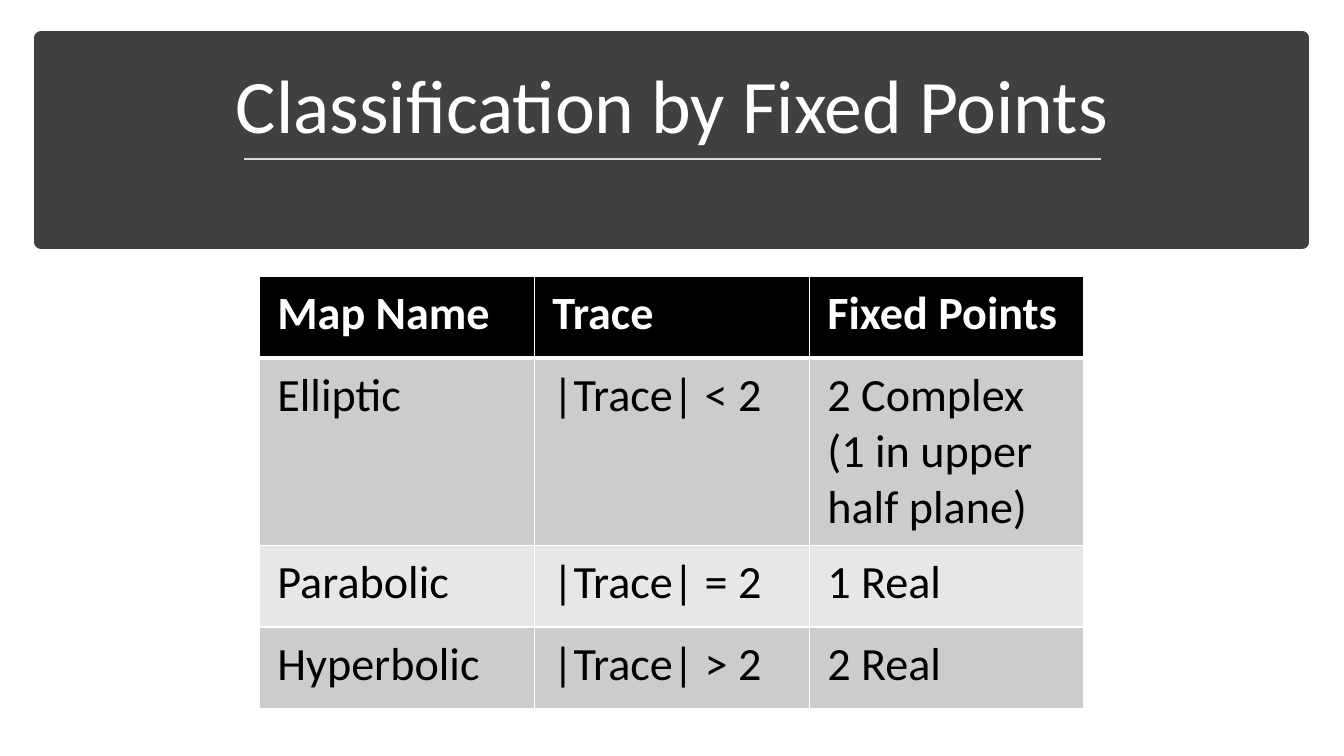
from lxml import etree
from pptx import Presentation
from pptx import util as u
from pptx.dml.color import RGBColor
from pptx.enum import shapes, text
from pptx.oxml import ns


def color(value):
    return RGBColor.from_string(value)


def write(tf, content, size, fill, bold=False, align=text.PP_ALIGN.LEFT, spacing=1.0):
    """Fill a text frame, one paragraph per line of content."""
    tf.word_wrap = True
    for i, line in enumerate(content.split("\n")):
        p = tf.paragraphs[0] if i == 0 else tf.add_paragraph()
        p.alignment, p.line_spacing = align, spacing
        r = p.add_run()
        r.text = line
        r.font.name, r.font.size, r.font.bold = "Calibri", u.Pt(size), bold
        r.font.color.rgb = color(fill)


prs = Presentation()
prs.slide_width, prs.slide_height = u.Cm(33.87), u.Cm(19.05)
s = prs.slides.add_slide(prs.slide_layouts[6])

# Title band
band = s.shapes.add_shape(shapes.MSO_SHAPE.RECTANGLE,
                          u.Cm(1.04), u.Cm(0.96), u.Cm(31.78), u.Cm(5.14))
band.shadow.inherit = False
band.fill.solid()
band.fill.fore_color.rgb = color("404040")
band.line.color.rgb = color("404040")
band.line.width = u.Pt(10)

title = s.shapes.add_textbox(u.Cm(1.47), u.Cm(1.3), u.Cm(30.94), u.Cm(2.59))
title.text_frame.vertical_anchor = text.MSO_ANCHOR.BOTTOM
write(title.text_frame, "Classification by Fixed Points", 54, "FFFFFF",
      align=text.PP_ALIGN.CENTER, spacing=0.9)

rule = s.shapes.add_connector(shapes.MSO_CONNECTOR.STRAIGHT,
                              u.Cm(6.15), u.Cm(4.01), u.Cm(27.74), u.Cm(4.01))
rule.line.color.rgb = color("D9D9D9")
rule.line.width = u.Pt(1.75)
etree.SubElement(rule._element.spPr, ns.qn("a:effectLst"))

# Classification table
rows = [
    ("Map Name", "Trace", "Fixed Points"),
    ("Elliptic", "|Trace| < 2", "2 Complex\n(1 in upper half plane)"),
    ("Parabolic", "|Trace| = 2", "1 Real"),
    ("Hyperbolic", "|Trace| > 2", "2 Real"),
]
row_fills = ["000000", "CCCCCC", "E7E7E7", "CCCCCC"]
row_heights = [2.06, 4.72, 2.06, 2.06]

table = s.shapes.add_table(len(rows), 3, u.Cm(6.53), u.Cm(6.96),
                           u.Cm(20.8), u.Cm(sum(row_heights))).table
for column in table.columns:
    column.width = u.Cm(6.93)

for i, (row, fill, height) in enumerate(zip(rows, row_fills, row_heights)):
    header = i == 0
    table.rows[i].height = u.Cm(height)
    for j, content in enumerate(row):
        cell = table.cell(i, j)
        cell.margin_left = cell.margin_right = u.Cm(0.46)
        cell.margin_top = cell.margin_bottom = u.Cm(0.23)
        tcPr = cell._tc.get_or_add_tcPr()
        for side in "LRTB":
            thick = (header and side == "B") or (i == 1 and side == "T")
            ln = etree.SubElement(tcPr, ns.qn(f"a:ln{side}"), w=str(u.Pt(3 if thick else 1)))
            solid = etree.SubElement(ln, ns.qn("a:solidFill"))
            etree.SubElement(solid, ns.qn("a:srgbClr"), val="FFFFFF")
        cell.fill.solid()
        cell.fill.fore_color.rgb = color(fill)
        write(cell.text_frame, content, 33, "FFFFFF" if header else "000000", bold=header)

prs.save("out.pptx")
